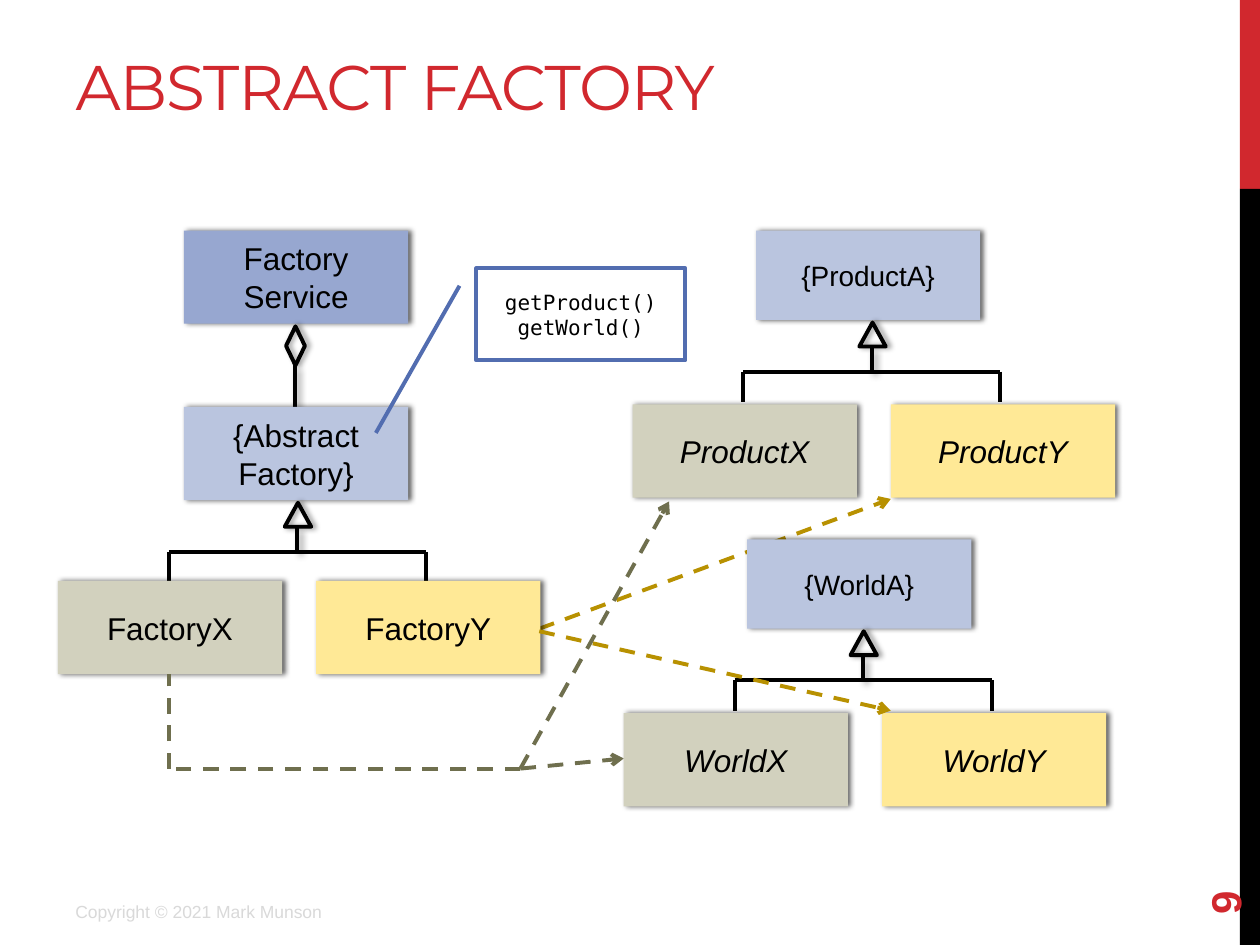
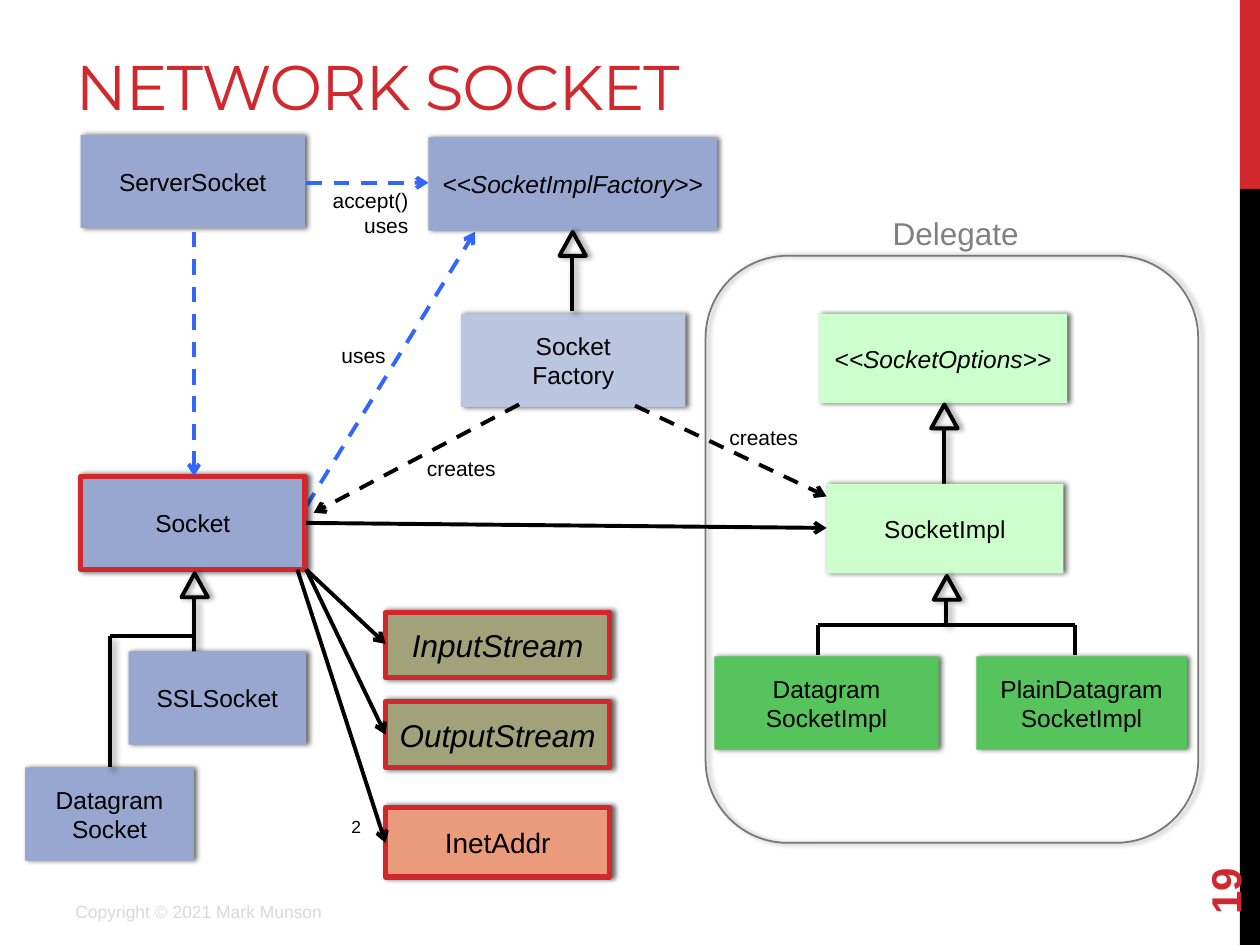
from lxml.etree import SubElement
from pptx import Presentation
from pptx.dml.color import RGBColor
from pptx.enum.dml import MSO_LINE
from pptx.enum.shapes import MSO_CONNECTOR, MSO_SHAPE as Kind
from pptx.enum.text import MSO_ANCHOR as Anchor, MSO_AUTO_SIZE, PP_ALIGN as Align
from pptx.oxml.ns import qn
from pptx.util import Emu, Inches, Pt

RED, BLACK, WHITE = "D1282E", "000000", "FFFFFF"
BLUE, PALE, LINK, EDGE = "97A7D0", "BAC5DF", "3366FF", "526DB0"
SAND, YELLOW, OLIVE, GOLD = "D2D1BE", "FFE996", "6F6F4E", "B89101"
KHAKI, CORAL, MINT, GREEN = "A1A17A", "EA9B7C", "CCFFCC", "56C35C"
GREY, SILVER, FRAME = "808080", "D9D9D9", "777777"

# Shadows: opacity in percent, blur and distance in points, angle in degrees
SOFT, THIN, CAST = (60, 3, 1.5, 0), (40, 3.1, 1.8, 0), (40, 4, 3, 45)

BOX_W, BOX_H = 1.78, 0.74
FLAT_H = 0.71


# Basic formatting
def rgb(code):
    return RGBColor.from_string(code)


def shade(shape, cast=None):
    """Replace the theme effects by one shadow, or by none."""
    props = shape._element.spPr
    for old in props.findall(qn("a:effectLst")):
        props.remove(old)
    effects = SubElement(props, qn("a:effectLst"))
    if cast:
        alpha, blur, dist, angle = cast
        outer = SubElement(effects, qn("a:outerShdw"), blurRad=str(Pt(blur)),
                           dist=str(Pt(dist)), dir=str(angle * 60000),
                           algn="ctr", rotWithShape="0")
        color = SubElement(outer, qn("a:srgbClr"), val=BLACK)
        SubElement(color, qn("a:alpha"), val=str(alpha * 1000))


def write(shape, text, size, color=BLACK, align=Align.CENTER,
          anchor=Anchor.MIDDLE, **extra):
    frame = shape.text_frame
    frame.text = text
    layout = {"word_wrap": True, "auto_size": MSO_AUTO_SIZE.NONE,
              "vertical_anchor": anchor}
    for key, value in layout.items():
        setattr(frame, key, value)
    fmt = {"size": Pt(size), "name": "Arial", **extra}
    for para in frame.paragraphs:
        para.alignment = align
        for run in para.runs:
            run.font.color.rgb = rgb(color)
            for key, value in fmt.items():
                setattr(run.font, key, value)


# Drawing parts
def draw(slide, kind, x, y, w, h, fill=None, edge=None, width=2.25, cast=None):
    shape = slide.shapes.add_shape(kind, *map(Inches, (x, y, w, h)))
    if fill:
        shape.fill.solid()
        shape.fill.fore_color.rgb = rgb(fill)
    else:
        shape.fill.background()
    if edge:
        shape.line.color.rgb = rgb(edge)
        shape.line.width = Pt(width)
    else:
        shape.line.fill.background()
    shade(shape, cast)
    return shape


def box(slide, text, x, y, fill, w=BOX_W, h=BOX_H, size=14, edge=None, **extra):
    shape = draw(slide, Kind.RECTANGLE, x, y, w, h, fill, edge, 3, SOFT)
    write(shape, text, size, **extra)


def label(slide, text, x, y, w, h, size=12, align=Align.LEFT,
          anchor=Anchor.TOP, **extra):
    shape = slide.shapes.add_textbox(*map(Inches, (x, y, w, h)))
    write(shape, text, size, align=align, anchor=anchor, **extra)
    return shape


def line(slide, x1, y1, x2, y2, color=BLACK, dash=False, head=False, cast=None):
    link = slide.shapes.add_connector(MSO_CONNECTOR.STRAIGHT,
                                      *map(Inches, (x1, y1, x2, y2)))
    link.line.color.rgb = rgb(color)
    link.line.width = Pt(2.25)
    if dash:
        link.line.dash_style = MSO_LINE.DASH
    if head:
        SubElement(link.line._get_or_add_ln(), qn("a:tailEnd"), type="arrow")
    shade(link, cast)


def arrow(slide, *ends, color=BLACK, dash=False):
    line(slide, *ends, color=color, dash=dash, head=True)


def parent(slide, x, y, stem=0.43):
    """Hollow triangle with its tip at x, y and a stem below it."""
    draw(slide, Kind.ISOSCELES_TRIANGLE, x - 0.1, y, 0.21, 0.19,
         edge=BLACK, cast=THIN)
    line(slide, x, y + 0.2, x, y + 0.2 + stem, cast=CAST)


def fork(slide, x, y):
    """Triangle whose stem splits into two legs."""
    parent(slide, x, y, 0.19)
    bar, half = y + 0.39, 1.02
    line(slide, x - half, bar, x + half, bar)
    for leg in (x - half, x + half):
        line(slide, leg, bar, leg, bar + 0.24)


def family(slide, x, y, h, names, size, shift=0.92, **extra):
    """Abstract class with its X and Y subclasses."""
    base, *kids = names
    mid = x + shift
    box(slide, base, x, y, PALE, h=h, size=size)
    fork(slide, mid, y + h + 0.02)
    for i, (kid, fill) in enumerate(zip(kids, (SAND, YELLOW))):
        box(slide, kid, mid - 1.9 + 2.05 * i, y + 1.38, fill, size=18, **extra)


# Shared frame: side band, title, footer, number
def frame(deck, title, number):
    slide = deck.slides.add_slide(deck.slide_layouts[5])
    for y, h, fill in ((0, 1.5, RED), (1.5, 6, BLACK)):
        draw(slide, Kind.RECTANGLE, 9.84, y, 0.16, h, fill)
    head = slide.shapes.title
    place = zip(("left", "top", "width", "height"), (0.5, 0.17, 8.2, 1.47))
    for key, value in place:
        setattr(head, key, Inches(value))
    write(head, title, 36, RED, Align.LEFT, Anchor.BOTTOM, name="Montserrat")
    head.text_frame.margin_bottom = Inches(0.66)
    head.text_frame.paragraphs[0].runs[0]._r.get_or_add_rPr().set("spc", "-60")
    label(slide, "Copyright © 2021 Mark Munson", 0.5, 7.1, 3.75, 0.31, 10,
          color=SILVER)
    page = label(slide, number, 9, 6.44, 1.44, 0.4, 24, anchor=Anchor.MIDDLE,
                 color=RED, bold=True)
    page.rotation = 270
    return slide


def factory(deck):
    slide = frame(deck, "ABSTRACT FACTORY", "9")
    arrow(slide, 4.28, 4.99, 7.07, 3.96, color=GOLD, dash=True)

    # Service that holds the factories
    box(slide, "Factory\nService", 1.46, 1.83, BLUE, size=18)
    draw(slide, Kind.DIAMOND, 2.27, 2.59, 0.15, 0.31, edge=BLACK, cast=THIN)
    line(slide, 2.34, 2.9, 2.34, 3.23, cast=CAST)

    # Class families
    family(slide, 1.46, 3.23, BOX_H,
           ("{Abstract\vFactory}", "FactoryX", "FactoryY"), 18, 0.9)
    for x, y, name in ((5.93, 4.28, "World"), (6, 1.83, "Product")):
        family(slide, x, y, FLAT_H,
               (f"{{{name}A}}", f"{name}X", f"{name}Y"), 16, italic=True)

    # What each factory makes
    arrow(slide, 4.28, 5.01, 7.07, 5.64, color=GOLD, dash=True)
    for x, y in ((5.31, 3.98), (4.95, 6.02)):
        arrow(slide, 4.13, 6.1, x, y, color=OLIVE, dash=True)
    line(slide, 4.13, 6.1, 1.34, 6.1, OLIVE, dash=True)
    line(slide, 1.34, 6.1, 1.34, 5.35, OLIVE, dash=True)

    # Methods callout
    note = draw(slide, Kind.LINE_CALLOUT_1, 3.78, 2.13, 1.66, 0.73, WHITE, EDGE)
    for i, value in enumerate((0.19, -0.08, 1.79, -0.48)):
        note.adjustments[i] = value
    write(note, "getProduct()\ngetWorld()", 12, name="DejaVu Sans Mono")


def sockets(slide):
    """Socket classes on the left."""
    box(slide, "ServerSocket", 0.64, 1.07, BLUE)
    box(slide, "Socket", 0.64, 3.78, BLUE, edge=RED)
    parent(slide, 1.54, 4.55)
    box(slide, "SSLSocket", 1.02, 5.17, BLUE, w=1.41)
    box(slide, "Datagram\vSocket", 0.2, 6.09, BLUE, w=1.34)
    line(slide, 0.87, 5.05, 0.87, 6.09, cast=CAST)
    line(slide, 0.87, 5.05, 1.54, 5.05)


def makers(slide):
    """Factory classes at the top."""
    box(slide, "<<SocketImplFactory>>", 3.4, 1.09, BLUE, w=2.29, italic=True)
    box(slide, "Socket\vFactory", 3.66, 2.49, PALE)
    parent(slide, 4.54, 1.84)


def streams(slide):
    """Parts that a socket owns."""
    for name, y in (("InputStream", 4.86), ("OutputStream", 5.57)):
        box(slide, name, 3.06, y, KHAKI, h=0.52, size=18, edge=RED, italic=True)
    box(slide, "InetAddr", 3.06, 6.41, CORAL, h=0.55, size=16, edge=RED)
    for x, y in ((2.36, 6.69), (2.43, 5.83), (2.43, 5.11)):
        arrow(slide, x, 4.52, 3.06, y)
    label(slide, "2", 2.69, 6.43, 0.23, 0.27, 10)


def delegate(slide):
    """Implementation classes inside the rounded frame."""
    box(slide, "<<SocketOptions>>", 6.5, 2.49, MINT, w=1.97, h=FLAT_H,
        italic=True)
    parent(slide, 7.49, 3.21)
    box(slide, "SocketImpl", 6.56, 3.84, MINT, w=1.88, h=FLAT_H)
    fork(slide, 7.51, 4.57)
    box(slide, "Datagram\vSocketImpl", 5.67, 5.21, GREEN)
    box(slide, "PlainDatagram\vSocketImpl", 7.75, 5.21, GREEN, w=1.67)
    draw(slide, Kind.ROUNDED_RECTANGLE, 5.6, 2.03, 3.91, 4.66,
         edge=FRAME, width=1, cast=THIN)
    label(slide, "Delegate", 6.56, 1.65, 2.05, 0.4, 18, Align.CENTER, color=GREY)


def network(deck):
    slide = frame(deck, "NETWORK SOCKET", "19")
    arrow(slide, 2.43, 4.02, 3.77, 1.84, color=LINK, dash=True)
    for part in (sockets, makers, streams, delegate):
        part(slide)

    # Links between the groups
    arrow(slide, 2.43, 4.15, 6.56, 4.19)
    for ends in ((2.43, 1.45, 3.4, 1.45), (1.54, 1.84, 1.54, 3.78)):
        arrow(slide, *ends, color=LINK, dash=True)
    for ends in ((5.04, 3.22, 6.56, 3.94), (4.12, 3.21, 2.49, 4.07)):
        arrow(slide, *ends, dash=True)
    label(slide, "accept()\nuses", 2.49, 1.44, 0.85, 0.5, align=Align.RIGHT)
    label(slide, "uses", 2.41, 2.67, 0.75, 0.3, align=Align.RIGHT)
    for x, y in ((5.69, 3.32), (3.29, 3.57)):
        label(slide, "creates", x, y, 0.75, 0.3)


def main():
    deck = Presentation()
    deck.slide_width, deck.slide_height = Emu(Inches(10)), Emu(Inches(7.5))
    factory(deck)
    network(deck)
    deck.save("out.pptx")


if __name__ == "__main__":
    main()
